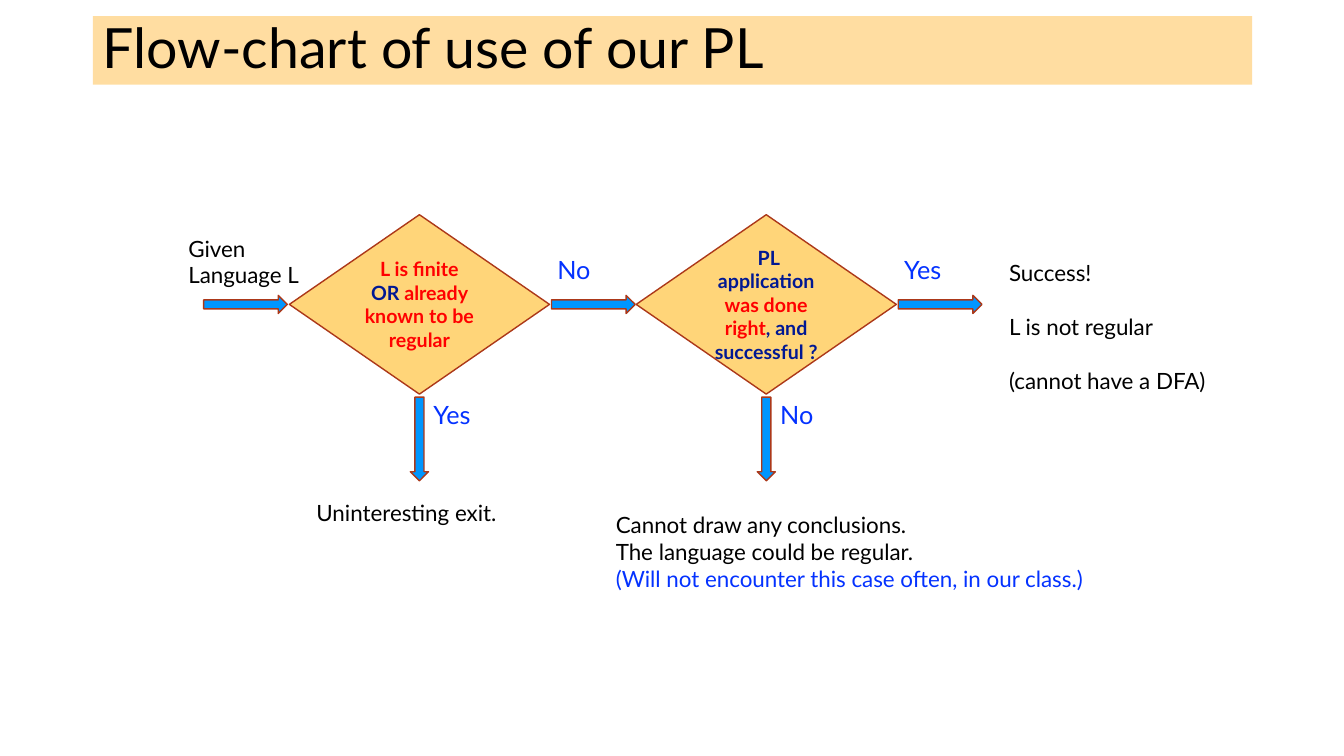
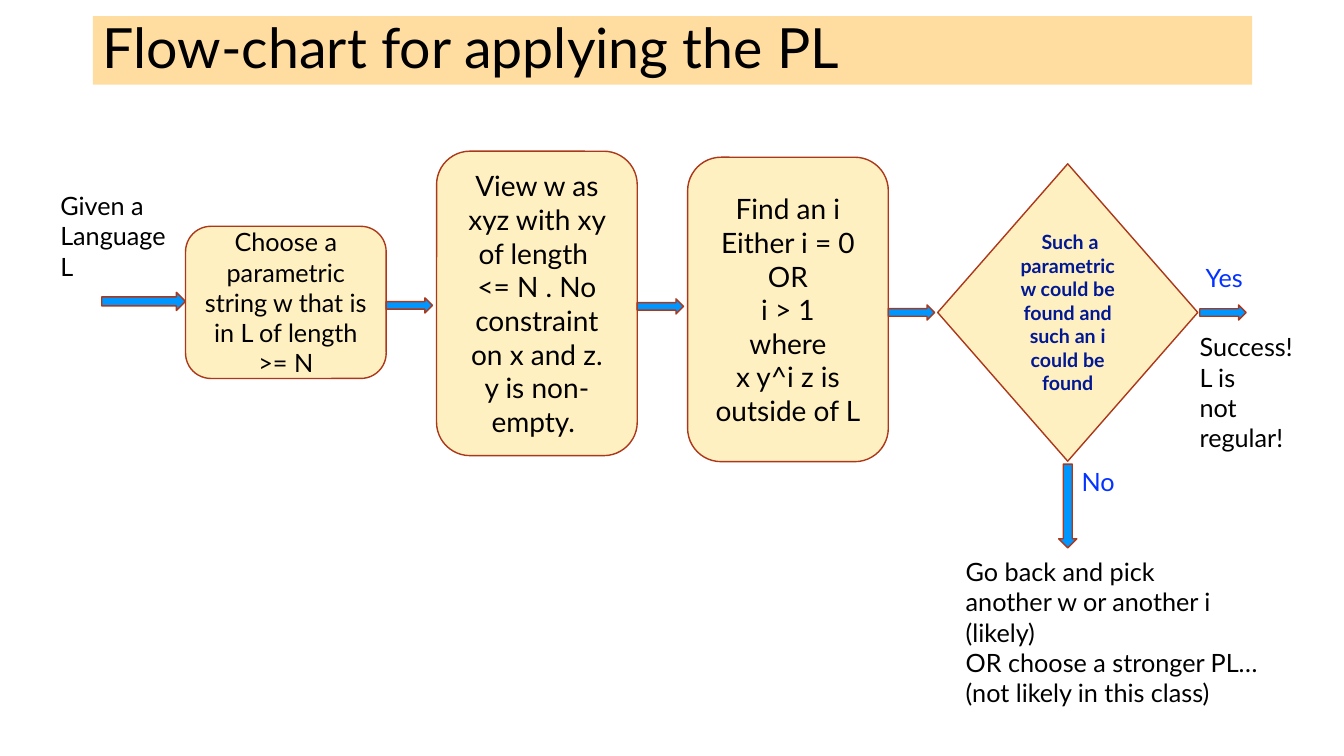
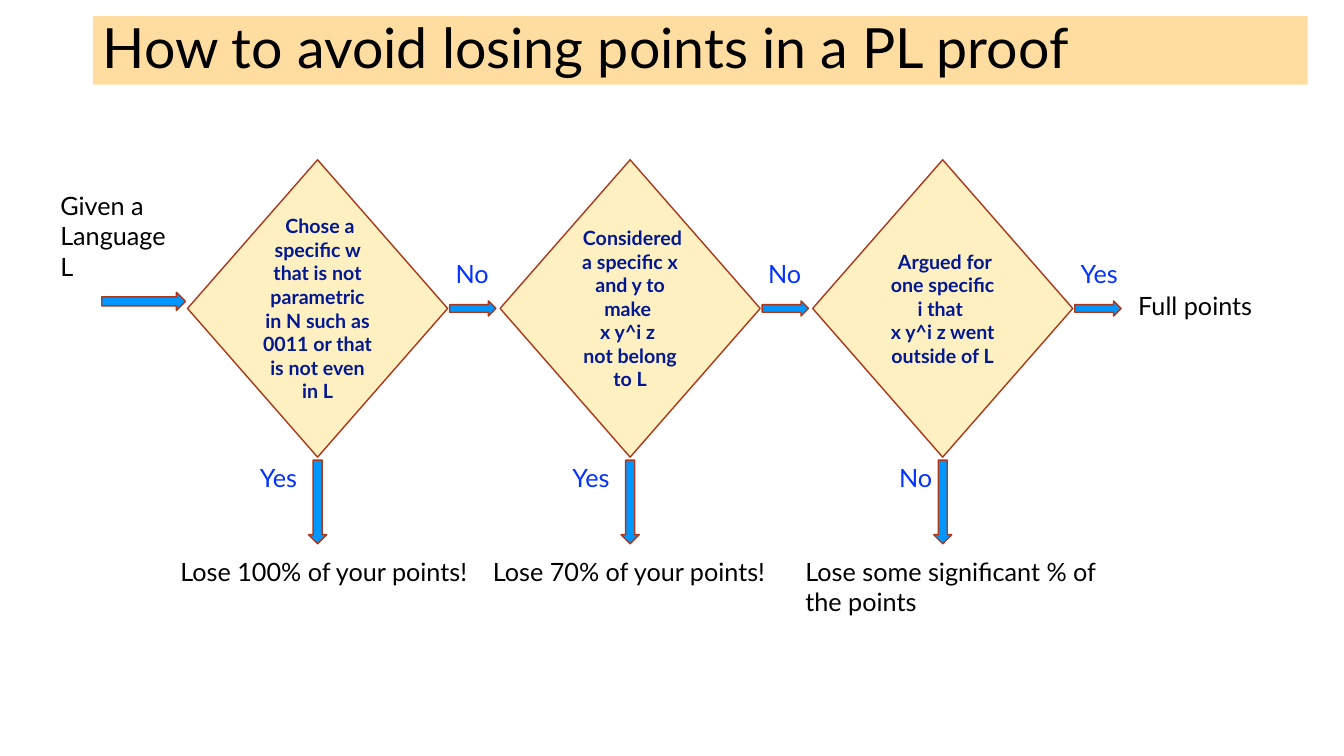
from pptx import Presentation
from pptx.dml.color import RGBColor
from pptx.enum.shapes import MSO_SHAPE
from pptx.enum.text import MSO_ANCHOR, MSO_AUTO_SIZE, PP_ALIGN
from pptx.oxml.ns import qn
from pptx.util import Inches, Pt
from lxml import etree

# Shared look
FONT = "Lato"
BLACK = RGBColor(0x00, 0x00, 0x00)
RED = RGBColor(0xFF, 0x00, 0x00)
NAVY = RGBColor(0x01, 0x18, 0x93)
BLUE = RGBColor(0x04, 0x32, 0xFF)
ARROW_BLUE = RGBColor(0x00, 0x96, 0xFF)
OUTLINE = RGBColor(0xAC, 0x38, 0x19)
GOLD = RGBColor(0xFF, 0xD5, 0x79)
CREAM = RGBColor(0xFF, 0xF0, 0xC2)
BAND = RGBColor(0xFF, 0xBD, 0x47)

DIAMOND, ROUNDED = MSO_SHAPE.DIAMOND, MSO_SHAPE.ROUNDED_RECTANGLE
RIGHT_ARROW = MSO_SHAPE.RIGHT_ARROW
LEFT, CENTER = PP_ALIGN.LEFT, PP_ALIGN.CENTER
MIDDLE, TOP = MSO_ANCHOR.MIDDLE, MSO_ANCHOR.TOP

# Grid, in inches
W, H = 13.33, 7.5
TITLE_ONLY = 5
DIAMOND_W = 2.58
BOX_W, BOX_PITCH = 1.99, 2.49
LONG, SHORT = (0.83, 0.18), (0.46, 0.15)  # arrow length and thickness


def write(shape, paragraphs, size=18, color=BLACK, bold=False, align=LEFT,
          anchor=TOP, gap=0):
    """Fill a shape; a paragraph is a string or a list of (text, colour)."""
    tf = shape.text_frame
    tf.word_wrap = True
    tf.auto_size = MSO_AUTO_SIZE.NONE
    tf.vertical_anchor = anchor
    for i, runs in enumerate(paragraphs):
        p = tf.paragraphs[0] if i == 0 else tf.add_paragraph()
        p.alignment = align
        p.space_before = Pt(gap if i else 0)
        for text, run_color in ([(runs, color)] if isinstance(runs, str) else runs):
            r = p.add_run()
            r.text = text
            r.font.name, r.font.size, r.font.bold = FONT, Pt(size), bold
            r.font.color.rgb = run_color
    return tf


def add_slide(prs, title, width=11.5):
    s = prs.slides.add_slide(prs.slide_layouts[TITLE_ONLY])
    sp = s.shapes.title
    sp.left, sp.top, sp.width, sp.height = map(Inches, (0.92, 0.16, width, 0.68))
    sp.fill.solid()
    sp.fill.fore_color.rgb = BAND
    rgb = sp.fill._xPr.find(qn("a:solidFill"))[0]
    etree.SubElement(rgb, qn("a:alpha")).set("val", "51000")
    tf = write(sp, [title], size=39.6, anchor=MIDDLE)
    tf.paragraphs[0].line_spacing = 0.9
    return s


def add_label(s, x, y, w, h, *paragraphs, **style):
    box = s.shapes.add_textbox(*map(Inches, (x, y, w, h)))
    write(box, paragraphs, **style)


def add_block(s, kind, cx, cy, w, h, fill):
    """Outlined shape placed by its centre."""
    sp = s.shapes.add_shape(kind, *map(Inches, (cx - w / 2, cy - h / 2, w, h)))
    sp.shadow.inherit = False
    sp.fill.solid()
    sp.fill.fore_color.rgb = fill
    sp.line.color.rgb = OUTLINE
    sp.line.width = Pt(1)
    return sp


def add_arrow(s, x, y, size=LONG, down=False):
    """Block arrow that starts at (x, y)."""
    half = size[0] / 2
    cx, cy = (x, y + half) if down else (x + half, y)
    sp = add_block(s, RIGHT_ARROW, cx, cy, *size, ARROW_BLUE)
    sp.rotation = 90 if down else 0


def add_answer(s, x, y, text):
    add_label(s, x, y, 0.57, 0.4, text, color=BLUE)


def add_decision(s, cx, cy, h, paragraphs, right, down, fill=CREAM,
                 size=SHORT, down_dx=0.04):
    """Diamond with a labelled exit to the right and one downwards."""
    sp = add_block(s, DIAMOND, cx, cy, DIAMOND_W, h, fill)
    write(sp, paragraphs, size=14, color=NAVY, bold=True, align=CENTER, anchor=MIDDLE)
    bottom = cy + h / 2
    add_arrow(s, cx + 1.31, cy, size)
    add_answer(s, cx + 1.27, cy - 0.55, right)
    add_arrow(s, cx, bottom + 0.03, down=True)
    add_answer(s, cx + down_dx, bottom, down)


def add_start(s):
    add_label(s, 0.5, 1.84, 1.34, 1.01, "Given a", "Language", "L")
    add_arrow(s, 1.01, 2.99)


def use_slide(prs):
    s = add_slide(prs, "Flow-chart of use of our PL")
    axis, first, pitch = 3.02, 4.16, 3.44
    add_label(s, 1.77, 2.28, 1.33, 0.64, "Given", "Language L", size=16)
    add_arrow(s, 2.02, axis)
    decisions = [
        ([("L is finite ", RED), ("OR ", NAVY),
          ("already known to be regular", RED)], "No", "Yes"),
        ([(" PL application ", NAVY), ("was done right", RED),
          (", and successful ?", NAVY)], "Yes", "No"),
    ]
    for i, (runs, right, down) in enumerate(decisions):
        add_decision(s, first + i * pitch, axis, 1.78, [runs], right, down,
                     fill=GOLD, size=LONG)
    # Outcomes
    add_label(s, 3.04, 4.9, 2.1, 0.64, "Uninteresting exit.", size=16)
    add_label(s, 6.01, 5.02, 5.16, 0.91, "Cannot draw any conclusions.",
              "The language could be regular.",
              [("(Will not encounter this case often, in our class.)", BLUE)], size=16)
    add_label(s, 9.91, 2.52, 2.21, 1.45, "Success!", "L is not regular",
              "(cannot have a DFA)", size=16, gap=19.3)


def apply_slide(prs):
    s = add_slide(prs, "Flow-chart for applying the PL")
    add_start(s)
    # Steps: centre height, box height, text size, text
    steps = [
        (3.0, 1.51, 18, ["Choose a parametric string w that is in L of length >= N"]),
        (3.01, 3.02, 20, ["View w as xyz with xy of length ",
                          "<= N . No constraint on x and z.", "y is non-empty. "]),
        (3.07, 3.02, 20, ["Find an i", "Either i = 0", "OR", "i > 1", "where",
                          "x y^i z is outside of L"]),
    ]
    for i, (cy, h, size, paragraphs) in enumerate(steps):
        left = 1.84 + i * BOX_PITCH
        sp = add_block(s, ROUNDED, left + BOX_W / 2, cy, BOX_W, h, CREAM)
        write(sp, paragraphs, size=size, align=CENTER, anchor=MIDDLE)
        add_arrow(s, left + BOX_W, cy + 0.03, SHORT)
    add_decision(s, 10.59, 3.1, 2.95,
                 [" Such a parametric w could be found and such an i could be found"],
                 "Yes", "No")
    # Outcomes
    add_label(s, 11.8, 3.24, 1.16, 1.31, "Success!", "L is", "not", "regular!")
    add_label(s, 9.48, 5.47, 3.12, 1.62, "Go back and pick", "another w or another i",
              "(likely)", "OR choose a stronger PL…", "(not likely in this class)")


def points_slide(prs):
    s = add_slide(prs, "How to avoid losing points in a PL proof", width=12.05)
    add_start(s)
    axis, first, pitch = 3.06, 3.15, 3.1
    # Question, exits, offset of the lower answer, penalty
    checks = [
        ([" Chose a specific w that is not parametric in N such as 0011 "
          "or that is not even in L"],
         "No", "Yes", -0.67, "Lose 100% of your points!"),
        ([" Considered a specific x and y to make ", "x y^i z ", "not belong to L"],
         "No", "Yes", -0.67, "Lose 70% of your points!"),
        ([" Argued for one specific i that ", "x y^i z went outside of L"],
         "Yes", "No", -0.53, "Lose some significant % of the points"),
    ]
    for i, (question, right, down, down_dx, penalty) in enumerate(checks):
        cx = first + i * pitch
        add_decision(s, cx, axis, 2.95, question, right, down, down_dx=down_dx)
        add_label(s, cx - 1.46, 5.47, 3.12, 0.71, penalty)
    add_label(s, 11.19, 2.83, 1.38, 0.4, "Full points")


def main():
    prs = Presentation()
    prs.slide_width, prs.slide_height = Inches(W), Inches(H)
    use_slide(prs)
    apply_slide(prs)
    points_slide(prs)
    prs.save("out.pptx")


if __name__ == "__main__":
    main()
